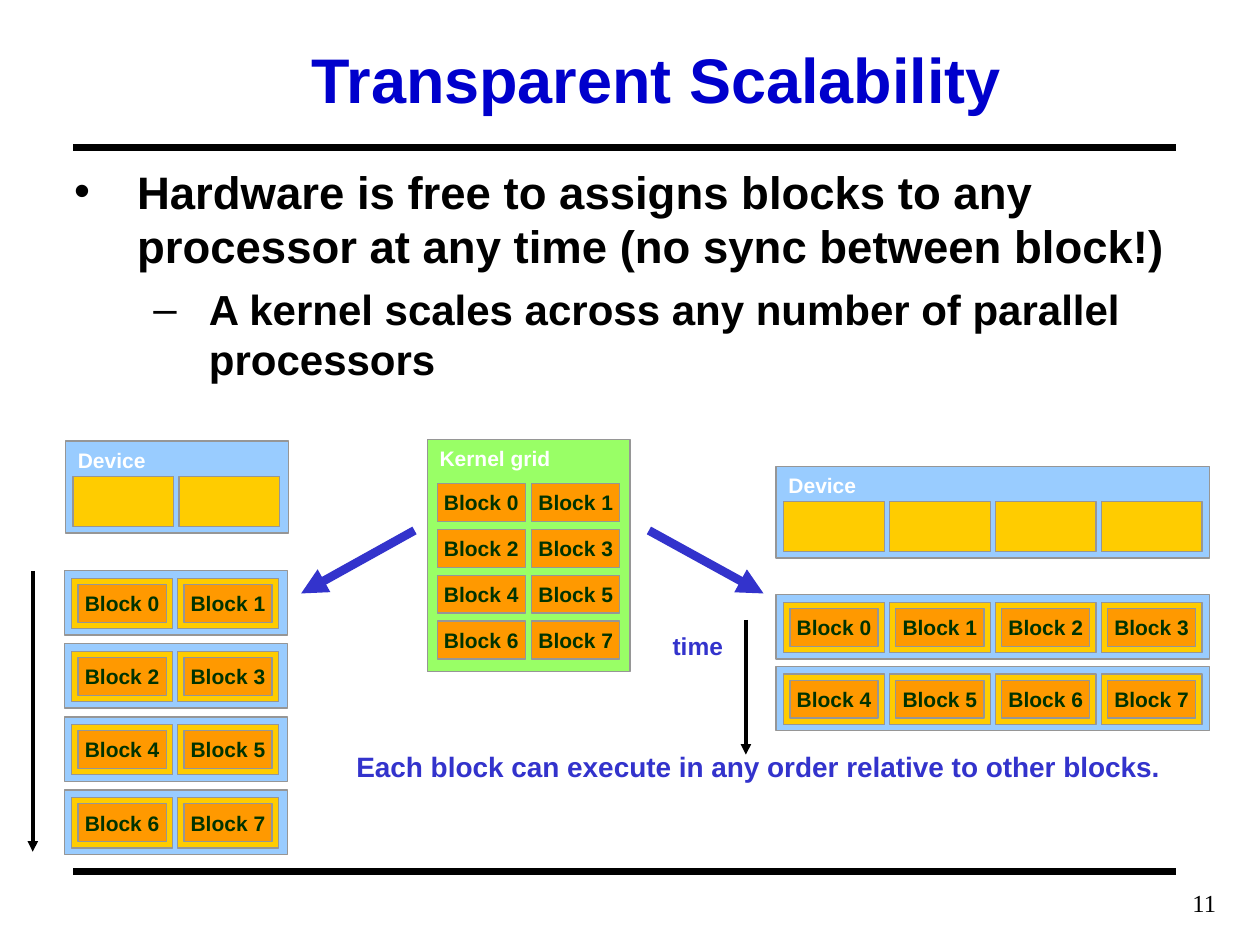
from pptx import Presentation
from pptx.dml.color import RGBColor as RGB
from pptx.enum.shapes import MSO_CONNECTOR as LINE, MSO_SHAPE as SHAPE
from pptx.enum.text import MSO_ANCHOR as ANCHOR, PP_ALIGN as ALIGN
from pptx.oxml.ns import qn
from pptx.util import Inches, Pt
from lxml.etree import SubElement as Sub

BLACK = RGB(0x00, 0x00, 0x00)
WHITE = RGB(0xFF, 0xFF, 0xFF)
NAVY = RGB(0x00, 0x00, 0xCC)
BLUE = RGB(0x33, 0x33, 0xCC)
SKY = RGB(0x99, 0xCC, 0xFF)
LIME = RGB(0x99, 0xFF, 0x66)
GOLD = RGB(0xFF, 0xCC, 0x00)
AMBER = RGB(0xFF, 0x99, 0x00)
PINE = RGB(0x00, 0x33, 0x00)
GRAY = RGB(0x96, 0x96, 0x96)

HEAD = {"size": Pt(36), "name": "Arial", "bold": True}
LABEL = {"size": Pt(12), "name": "Arial", "bold": True}
TIME = {"size": Pt(14), "name": "Arial", "bold": True}
NOTE = {"size": Pt(16), "name": "Arial", "bold": True}
PAGE = {"size": Pt(14), "name": "Times New Roman", "bold": False}

deck = Presentation()
deck.slide_width, deck.slide_height = Inches(10), Inches(7.5)
slide = deck.slides.add_slide(deck.slide_layouts[5])
shapes = slide.shapes


def put(at, fill=None, text="", style=LABEL, color=WHITE, align=ALIGN.LEFT, wrap=True):
    place = [Inches(v) for v in at]
    if fill is None:
        box = shapes.add_textbox(*place)
    else:
        box = shapes.add_shape(SHAPE.RECTANGLE, *place)
        box.shadow.inherit = False
        box.fill.solid()
        box.fill.fore_color.rgb = fill
        box.line.color.rgb = GRAY
        box.line.width = Pt(0.75)
    frame = box.text_frame
    frame.word_wrap = wrap
    frame.vertical_anchor = ANCHOR.TOP
    if text:
        para = frame.paragraphs[0]
        para.text = text
        para.alignment = align
        for key, value in style.items():
            setattr(para.font, key, value)
        para.font.color.rgb = color


def link(start, end, color, width, arrow=True):
    line = shapes.add_connector(LINE.STRAIGHT, *[Inches(v) for v in start + end])
    line.line.color.rgb = color
    line.line.width = Pt(width)
    if arrow:
        Sub(line.line._get_or_add_ln(), qn("a:tailEnd"), type="triangle")
    Sub(line._element.spPr, qn("a:effectLst"))


for y in (6.92, 1.17):
    link((0.58, y), (9.33, y), BLACK, 4, False)

title = shapes.title
title.left, title.top = Inches(0.67), Inches(0)
title.width, title.height = Inches(9.08), Inches(1.25)
title.text_frame.vertical_anchor = ANCHOR.MIDDLE
para = title.text_frame.paragraphs[0]
para.text = "Transparent Scalability"
para.alignment = ALIGN.CENTER
for key, value in HEAD.items():
    setattr(para.font, key, value)
para.font.color.rgb = NAVY

points = [
    ("Hardware is free to assigns blocks to any processor at any time (no sync between block!)",
     "•", 0, 0.5, -0.5, 26, 0),
    ("A kernel scales across any number of parallel processors",
     "–", 1, 1.07, -0.44, 24, 6),
]
body = shapes.add_textbox(Inches(0.49), Inches(1.25), Inches(9), Inches(5.58)).text_frame
body.word_wrap = True
for i, (text, mark, level, left, hang, size, gap) in enumerate(points):
    para = body.add_paragraph() if i else body.paragraphs[0]
    para.text = text
    para.level = level
    para.space_before = Pt(gap)
    props = para._p.get_or_add_pPr()
    props.set("marL", str(Inches(left)))
    props.set("indent", str(Inches(hang)))
    Sub(props, qn("a:buFont"), typeface="Arial")
    Sub(props, qn("a:buChar"), char=mark)
    for key, value in {"size": Pt(size), "name": "Arial", "bold": True}.items():
        setattr(para.font, key, value)
    para.font.color.rgb = BLACK

tag = {"color": PINE, "align": ALIGN.CENTER, "wrap": False}
step = 0.84

for x, y, wide, cols in ((0.52, 3.5, 1.77, 2), (6.16, 3.7, 3.44, 4)):
    put((x, y, wide, 0.73), SKY, "Device")
    for col in range(cols):
        put((x + 0.06 + col * step, y + 0.28, 0.8, 0.4), GOLD)

for x, y, wide, cols, pitch in ((0.51, 4.53, 1.77, 2, 0.58), (6.16, 4.72, 3.44, 4, 0.57)):
    for row in range(8 // cols):
        top = y + row * pitch
        put((x, top, wide, 0.51), SKY)
        for col in range(cols):
            left = x + 0.06 + col * step
            put((left, top + 0.06, 0.8, 0.4), GOLD)
            put((left + 0.05, top + 0.11, 0.7, 0.3), AMBER, f"Block {row * cols + col}", **tag)

put((3.39, 3.49, 1.61, 1.84), LIME, "Kernel grid")
for n in range(8):
    row, col = divmod(n, 2)
    put((3.47 + col * 0.75, 3.84 + row * 1.09 / 3, 0.7, 0.3), AMBER, f"Block {n}", **tag)

link((0.26, 4.53), (0.26, 6.76), BLACK, 2)
link((5.92, 4.92), (5.92, 5.99), BLACK, 2)
link((3.29, 4.21), (2.39, 4.71), BLUE, 5)
link((5.15, 4.21), (6.06, 4.71), BLUE, 5)

put((2.73, 5.9, 6.93, 0.37), None,
    "Each block can execute in any order relative to other blocks.", NOTE, BLUE)
put((5.24, 4.96, 0.6, 0.34), None, "time", TIME, BLUE, wrap=False)
put((8.1, 7, 1.65, 0.33), None, "11", PAGE, BLACK, ALIGN.RIGHT)

deck.save("out.pptx")
